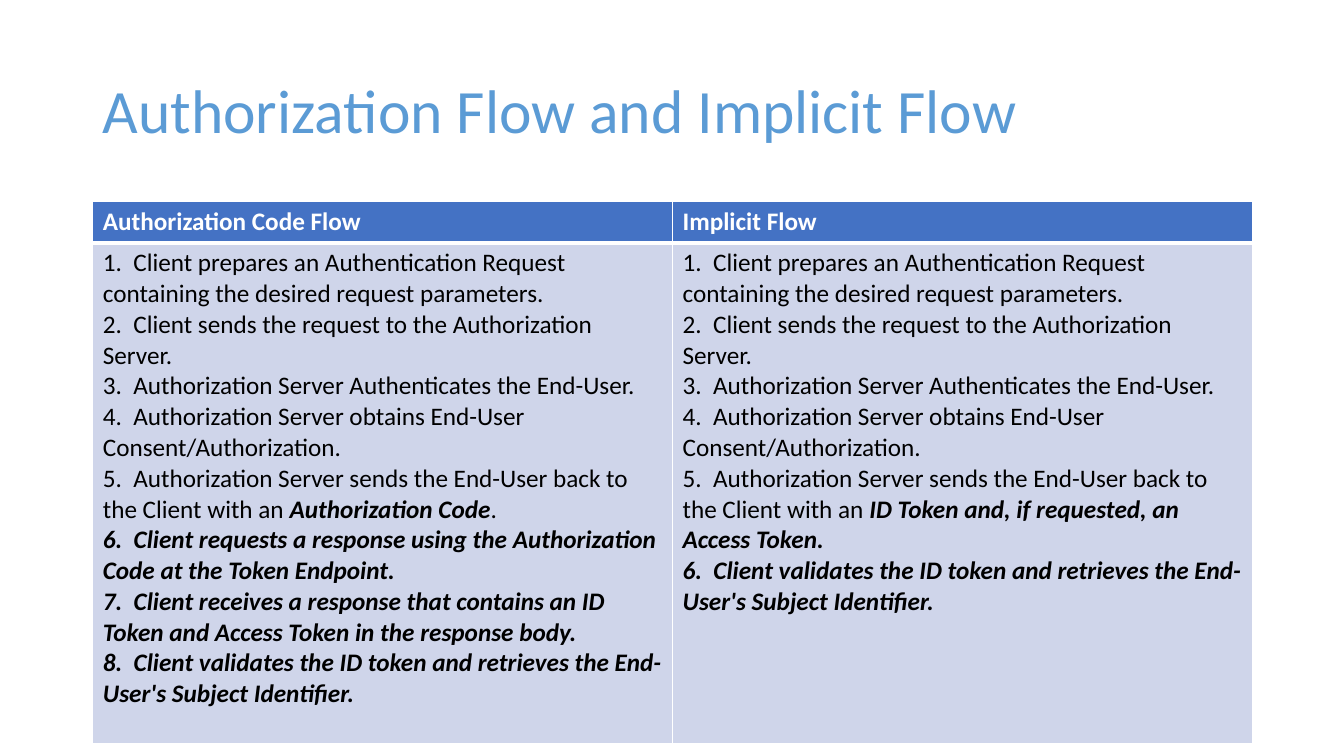
from dataclasses import dataclass

from lxml.etree import SubElement
from pptx import Presentation
from pptx.dml.color import RGBColor
from pptx.enum.text import MSO_ANCHOR
from pptx.oxml.ns import qn
from pptx.util import Inches, Pt


@dataclass(frozen=True)
class Theme:
    font: str = "Calibri"
    title_size: int = 44
    body_size: int = 18
    title: str = "5B9BD5"
    header: str = "4472C4"
    body: str = "CFD5EA"
    light: str = "FFFFFF"
    dark: str = "000000"
    thin: int = 1
    thick: int = 3


class SlideBuilder:
    def __init__(self, prs, theme):
        self.theme = theme
        self.s = prs.slides.add_slide(prs.slide_layouts[6])

    def add_text(self, p, runs, size, color):
        """Fill a paragraph with (text, emphasised) runs."""
        p.font.name = self.theme.font
        p.font.size = Pt(size)
        p.font.color.rgb = RGBColor.from_string(color)
        for text, strong in runs:
            r = p.add_run()
            r.text = text
            if strong:
                r.font.bold = r.font.italic = True

    def title(self, text, left, top, width, height):
        sp = self.s.shapes.add_textbox(left, top, width, height)
        tf = sp.text_frame
        tf.word_wrap = True
        tf.vertical_anchor = MSO_ANCHOR.MIDDLE
        p = tf.paragraphs[0]
        p.line_spacing = 0.9
        self.add_text(p, [(text, False)], self.theme.title_size, self.theme.title)

    def borders(self, cell, top, bottom):
        tc_pr = cell._tc.get_or_add_tcPr()
        thin = self.theme.thin
        for side, width in zip("LRTB", (thin, thin, top, bottom)):
            ln = SubElement(tc_pr, qn(f"a:ln{side}"), w=str(Pt(width)))
            fill = SubElement(ln, qn("a:solidFill"))
            SubElement(fill, qn("a:srgbClr"), val=self.theme.light)

    def cell(self, cell, paragraphs, fill, color, top, bottom, bold=False):
        self.borders(cell, top, bottom)
        cell.fill.solid()
        cell.fill.fore_color.rgb = RGBColor.from_string(fill)
        tf = cell.text_frame
        for i, runs in enumerate(paragraphs):
            p = tf.add_paragraph() if i else tf.paragraphs[0]
            self.add_text(p, runs, self.theme.body_size, color)
            if bold:
                p.font.bold = True

    def flow_table(self, flows, left, top, width, row_heights):
        t = self.theme
        table = self.s.shapes.add_table(
            2, len(flows), left, top, width, sum(row_heights)).table
        table.horz_banding = False
        for row, height in zip(table.rows, row_heights):
            row.height = height
        for col, (name, steps) in enumerate(flows.items()):
            self.cell(table.cell(0, col), [[(name, False)]],
                      t.header, t.light, t.thin, t.thick, bold=True)
            numbered = [[(f"{n}.  {runs[0][0]}", runs[0][1]), *runs[1:]]
                        for n, runs in enumerate(steps, 1)]
            self.cell(table.cell(1, col), numbered,
                      t.body, t.dark, t.thick, t.thin)


# Steps: each is a list of (text, emphasised) runs
shared_steps = [[(text, False)] for text in (
    "Client prepares an Authentication Request containing the desired request parameters.",
    "Client sends the request to the Authorization Server.",
    "Authorization Server Authenticates the End-User.",
    "Authorization Server obtains End-User Consent/Authorization.",
)]
send_back = ("Authorization Server sends the End-User back to the Client with an ", False)
validate = [("Client validates the ID token and retrieves the End-User's Subject Identifier.", True)]
flows = {
    "Authorization Code Flow": [
        *shared_steps,
        [send_back, ("Authorization Code", True), (".", False)],
        [("Client requests a response using the Authorization Code at the Token Endpoint.", True)],
        [("Client receives a response that contains an ID Token and Access Token "
          "in the response body.", True)],
        validate,
    ],
    "Implicit Flow": [
        *shared_steps,
        [send_back, ("ID Token and, if requested, an Access Token.", True)],
        validate,
    ],
}

# Slide
prs = Presentation()
prs.slide_width, prs.slide_height = Inches(13.33), Inches(7.5)
slide = SlideBuilder(prs, Theme())
left, width = Inches(0.92), Inches(11.5)

# Title and comparison table
slide.title("Authorization Flow and Implicit Flow", left, Inches(0.4), width, Inches(1.45))
slide.flow_table(flows, left, Inches(2), width, (Inches(0.41), Inches(4.97)))

prs.save("out.pptx")
